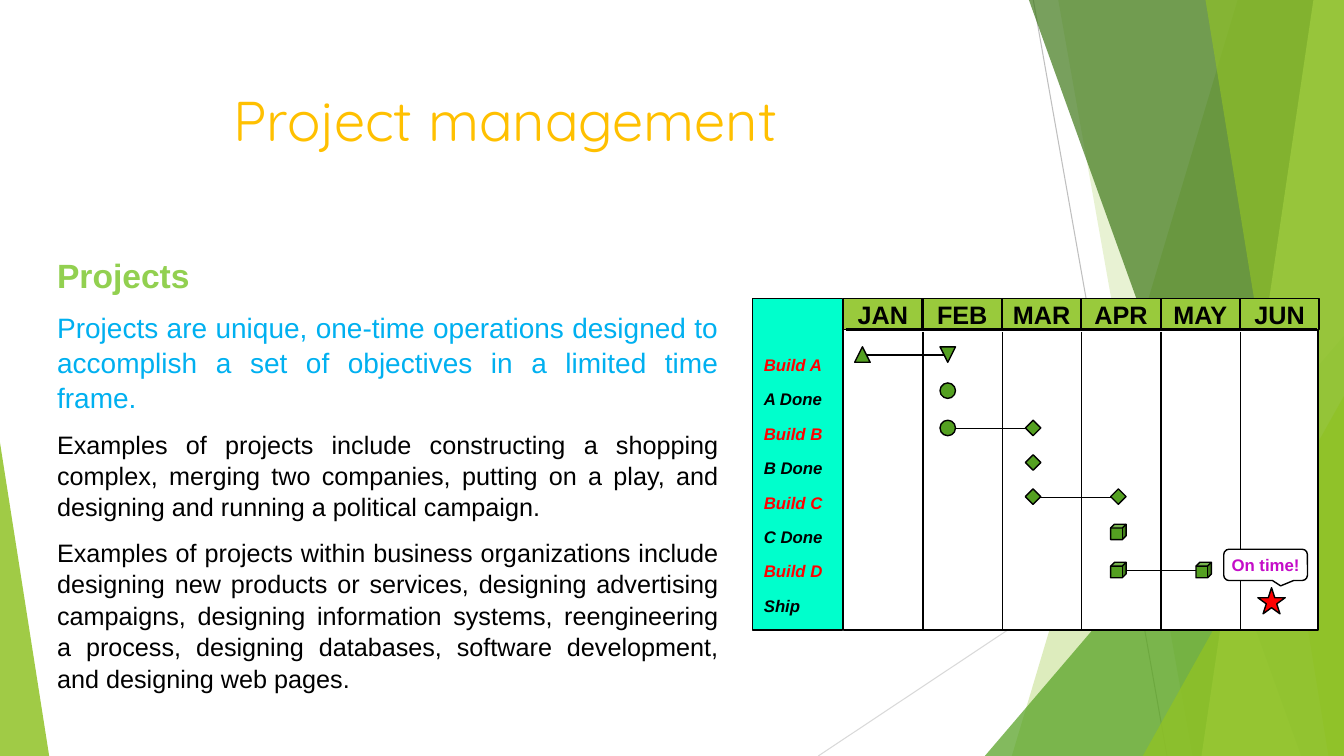
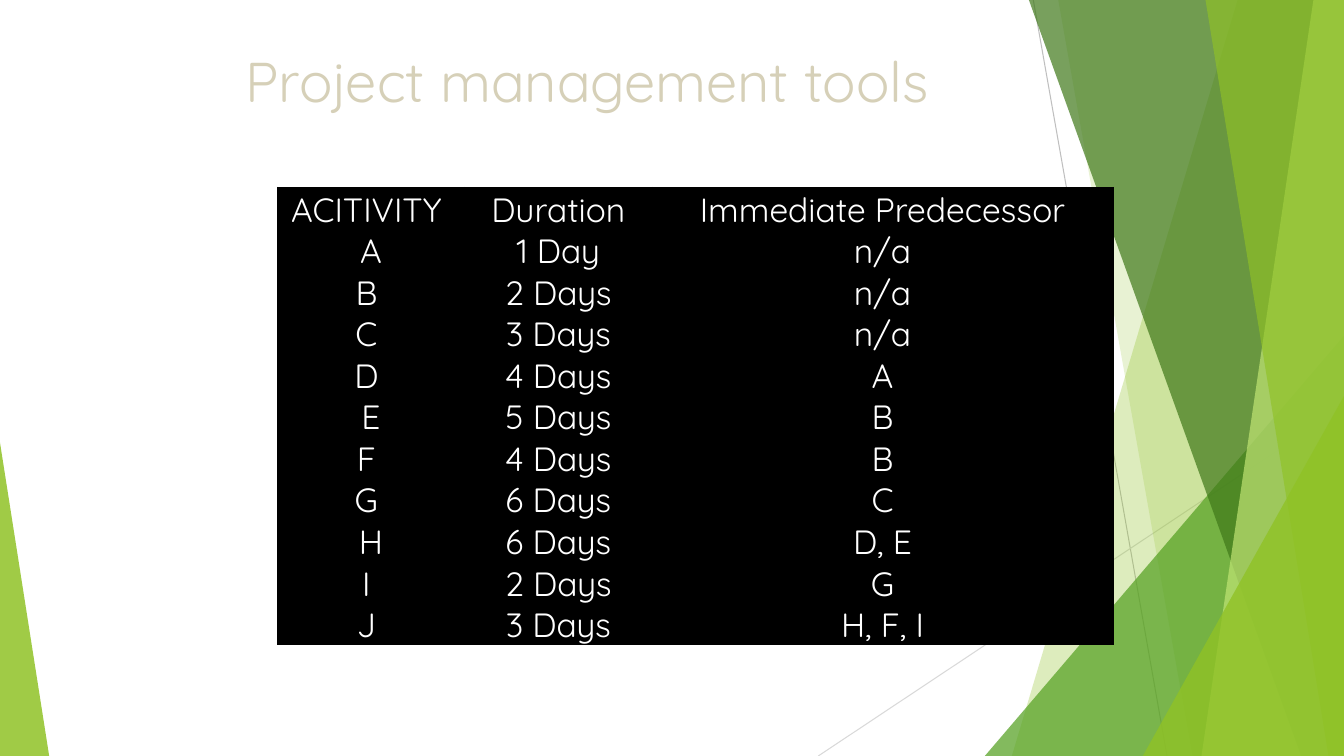
"""Build two project management slides: a milestone schedule and an activity table."""
from lxml.etree import SubElement
from pptx import Presentation
from pptx.dml.color import RGBColor
from pptx.enum.shapes import MSO_CONNECTOR, MSO_SHAPE
from pptx.enum.text import MSO_ANCHOR, PP_ALIGN
from pptx.oxml.ns import qn
from pptx.util import Cm, Pt

STRAIGHT = MSO_CONNECTOR.STRAIGHT
RECTANGLE = MSO_SHAPE.RECTANGLE
TRIANGLE = MSO_SHAPE.ISOSCELES_TRIANGLE
OVAL = MSO_SHAPE.OVAL
DIAMOND = MSO_SHAPE.DIAMOND
CUBE = MSO_SHAPE.CUBE
STAR = MSO_SHAPE.STAR_5_POINT
CALLOUT = MSO_SHAPE.ROUNDED_RECTANGULAR_CALLOUT
MIDDLE, BOTTOM = MSO_ANCHOR.MIDDLE, MSO_ANCHOR.BOTTOM
LEFT, CENTER, JUSTIFY = PP_ALIGN.LEFT, PP_ALIGN.CENTER, PP_ALIGN.JUSTIFY

BLACK = RGBColor(0x00, 0x00, 0x00)
WHITE = RGBColor(0xFF, 0xFF, 0xFF)
RED = RGBColor(0xFF, 0x00, 0x00)
LIME = RGBColor(0x90, 0xC2, 0x26)
GREEN = RGBColor(0x54, 0xA0, 0x21)
FOREST = RGBColor(0x3F, 0x78, 0x19)
PALE_LIME = RGBColor(0xC0, 0xE4, 0x74)
HEADER_GREEN = RGBColor(0x99, 0xCA, 0x3C)
HEADING_GREEN = RGBColor(0x92, 0xD0, 0x50)
SKY = RGBColor(0x00, 0xB0, 0xF0)
AQUA = RGBColor(0x00, 0xFF, 0xCC)
PURPLE = RGBColor(0xC4, 0x0C, 0xC8)
GOLD = RGBColor(0xFF, 0xC0, 0x00)
SAND = RGBColor(0xD6, 0xD0, 0xB8)
GREY = RGBColor(0xBF, 0xBF, 0xBF)
LIGHT_GREY = RGBColor(0xD9, 0xD9, 0xD9)

WIDTH, HEIGHT = 33.87, 19.05
TITLE_FORMAT = {"name": "Quicksand", "size": Pt(40)}
TABLE_FORMAT = {"name": "Quicksand", "size": Pt(24)}
MONTH_FORMAT = {"name": "Arial", "size": Pt(18), "bold": True}
TASK_FORMAT = {"name": "Arial", "size": Pt(12), "bold": True, "italic": True}
NOTE_FORMAT = {"name": "Arial", "size": Pt(12), "bold": True}

TITLES = [
    ("Project management", (5.64, 1.93, 23.8, 2.16), GOLD),
    ("Project management tools", (5.94, 0.25, 26.42, 3.53), SAND),
]
THIN_LINES = [
    (26.04, 0, 29.41, HEIGHT, GREY),
    (WIDTH, 10.24, 20.62, HEIGHT, LIGHT_GREY),
]
BANDS = [
    ("slant", (31.19, 25.5), LIME, 30),
    ("slant", (26.67, 30.05), LIME, 20),
    ("triangle", (24.82, 8.46, 9.05, 10.59, 1), GREEN, 72),
    ("slant", (25.93, 32.79), FOREST, 70),
    ("slant", (33.1, 30.28), PALE_LIME, 70),
    ("slant", (30.38, 33.48), LIME, 65),
    ("triangle", (28.8, 9.98, 5.07, 9.07, 1), LIME, 80),
    ("triangle", (0, 11.15, 1.24, 7.9, 0), LIME, 85),
]
BODY = [
    ("Projects", 24, True, HEADING_GREEN, LEFT),
    ("Projects are unique, one-time operations designed to accomplish a set of "
     "objectives in a limited time frame.", 20, False, SKY, JUSTIFY),
    ("Examples of projects include constructing a shopping complex, merging two "
     "companies, putting on a play, and designing and running a political campaign.",
     18, False, BLACK, JUSTIFY),
    ("Examples of projects within business organizations include designing new "
     "products or services, designing advertising campaigns, designing information "
     "systems, reengineering a process, designing databases, software development, "
     "and designing web pages.", 18, False, BLACK, JUSTIFY),
]
MONTHS = ["JAN", "FEB", "MAR", "APR", "MAY", "JUN"]
TASKS = ["Build A", "A Done", "Build B", "B Done", "Build C", "C Done", "Build D", "Ship"]
MILESTONES = [
    (8.74, 0, [TRIANGLE, TRIANGLE]),
    (9.65, 1, [OVAL]),
    (10.59, 1, [OVAL, DIAMOND]),
    (11.46, 2, [DIAMOND]),
    (12.32, 2, [DIAMOND, DIAMOND]),
    (13.21, 3, [CUBE]),
    (14.17, 3, [CUBE, CUBE]),
]
ACTIVITIES = [
    ("ACITIVITY ", "Duration", "Immediate Predecessor"),
    ("A", "1 Day", "n/a"),
    ("B ", "2 Days", "n/a"),
    ("C ", "3 Days", "n/a"),
    ("D ", "4 Days", "A"),
    ("E", "5 Days", "B"),
    ("F ", "4 Days", "B"),
    ("G ", "6 Days", "C"),
    ("H", "6 Days", "D, E"),
    ("I ", "2 Days", "G"),
    ("J ", "3 Days", "H, F, I"),
]


def finish(item, outline=BLACK, weight=1, fill=None):
    """Give a shape or connector its outline and fill, without a shadow."""
    if outline is None:
        item.line.fill.background()
    else:
        item.line.color.rgb = outline
        item.line.width = Pt(weight)
    SubElement(item._element.spPr, qn("a:effectLst"))
    if fill is not None:
        item.fill.solid()
        item.fill.fore_color.rgb = fill


def write(para, text, values, colour, align=LEFT):
    """Fill a paragraph with one formatted span."""
    para.alignment = align
    span = para.add_run()
    span.text = text
    for name, value in values.items():
        setattr(span.font, name, value)
    span.font.color.rgb = colour


deck = Presentation()
deck.slide_width, deck.slide_height = Cm(WIDTH), Cm(HEIGHT)
pages = []
for title, place, colour in TITLES:
    page = deck.slides.add_slide(deck.slide_layouts[6])
    pages.append(page)
    for *ends, line_colour in THIN_LINES:
        finish(page.shapes.add_connector(STRAIGHT, *map(Cm, ends)), line_colour, 0.75)
    for kind, geometry, fill, opacity in BANDS:
        if kind == "slant":
            top_x, bottom_x = geometry
            corners = [(WIDTH, 0), (WIDTH, HEIGHT), (bottom_x, HEIGHT)]
            builder = page.shapes.build_freeform(Cm(top_x), Cm(0))
            builder.add_line_segments([(Cm(x), Cm(y)) for x, y in corners])
            band = builder.convert_to_shape()
        else:
            *frame, apex = geometry
            band = page.shapes.add_shape(TRIANGLE, *map(Cm, frame))
            band.adjustments[0] = apex
        finish(band, None, fill=fill)
        tint = band._element.spPr.find(qn("a:solidFill"))[0]
        SubElement(tint, qn("a:alpha"), val=str(opacity * 1000))
    box = page.shapes.add_textbox(*map(Cm, place)).text_frame
    box.word_wrap = True
    box.vertical_anchor = MIDDLE
    write(box.paragraphs[0], title, TITLE_FORMAT, colour)

schedule_page, table_page = pages
shapes = schedule_page.shapes

box = shapes.add_textbox(Cm(1.19), Cm(6.25), Cm(17.17), Cm(10.19)).text_frame
box.word_wrap = True
for index, (text, size, bold, colour, align) in enumerate(BODY):
    para = box.add_paragraph() if index else box.paragraphs[0]
    para.space_after = Pt(10)
    para.line_spacing = 1.04
    write(para, text, {"name": "Arial", "size": Pt(size), "bold": bold}, colour, align)

TOP, GRID_LEFT, GRID_HEIGHT = 7.52, 21.26, 8.36
MONTH_STEP, MONTH_HEIGHT = 2, 0.79
MARK_LEFT, MARK_STEP, MARK_SIZE = 21.54, 2.15, 0.39

task_column = shapes.add_shape(RECTANGLE, Cm(18.97), Cm(TOP), Cm(2.26), Cm(GRID_HEIGHT))
finish(task_column, fill=AQUA)
box = task_column.text_frame
box.vertical_anchor = MSO_ANCHOR.TOP
box.margin_left = box.margin_right = Cm(0.28)
box.margin_top = box.margin_bottom = Cm(1.42)
for index, task in enumerate(TASKS):
    para = box.add_paragraph() if index else box.paragraphs[0]
    para.space_after = Pt(10.2)
    write(para, task, TASK_FORMAT, BLACK if index % 2 else RED)

grid = shapes.add_shape(RECTANGLE, Cm(GRID_LEFT), Cm(TOP), Cm(11.96), Cm(GRID_HEIGHT))
finish(grid, fill=WHITE)
for index, month in enumerate(MONTHS):
    left = GRID_LEFT + index * MONTH_STEP
    header = shapes.add_shape(RECTANGLE, Cm(left), Cm(TOP), Cm(1.98), Cm(MONTH_HEIGHT))
    finish(header, fill=HEADER_GREEN)
    header.text_frame.word_wrap = False
    header.text_frame.vertical_anchor = MIDDLE
    write(header.text_frame.paragraphs[0], month, MONTH_FORMAT, BLACK, CENTER)
    if index:
        divider = shapes.add_connector(STRAIGHT, Cm(left), Cm(8.36), Cm(left), Cm(15.85))
        finish(divider)
finish(shapes.add_connector(STRAIGHT, Cm(21.31), Cm(8.31), Cm(33.2), Cm(8.31)), weight=2)

for top, first, kinds in MILESTONES:
    left = MARK_LEFT + first * MARK_STEP
    if len(kinds) == 2:
        middle = Cm(top + 0.21)
        link = shapes.add_connector(
            STRAIGHT, Cm(left + 0.3), middle, Cm(left + MARK_STEP + 0.1), middle)
        finish(link)
    for column, kind in enumerate(kinds):
        mark = shapes.add_shape(
            kind, Cm(left + column * MARK_STEP), Cm(top), Cm(MARK_SIZE), Cm(MARK_SIZE))
        mark.rotation = 180 if kind == TRIANGLE and column else 0
        finish(mark, fill=GREEN)

star = shapes.add_shape(STAR, Cm(31.7), Cm(14.81), Cm(0.69), Cm(0.66))
finish(star, fill=RED)
callout = shapes.add_shape(CALLOUT, Cm(30.84), Cm(13.84), Cm(2.11), Cm(0.79))
for index, value in enumerate([0.18, 0.67, 0.17]):
    callout.adjustments[index] = value
finish(callout, fill=WHITE)
callout.text_frame.word_wrap = False
callout.text_frame.vertical_anchor = MIDDLE
write(callout.text_frame.paragraphs[0], "On time!", NOTE_FORMAT, PURPLE, CENTER)

table = table_page.shapes.add_table(
    len(ACTIVITIES), 3, Cm(6.99), Cm(4.72), Cm(21.06), Cm(11.48)).table
for column, width in zip(table.columns, [4.72, 4.72, 11.62]):
    column.width = Cm(width)
for row, texts in zip(table.rows, ACTIVITIES):
    row.height = Cm(1.04)
    for cell, text in zip(row.cells, texts):
        cell.margin_left = cell.margin_right = cell.margin_top = Cm(0.03)
        cell.margin_bottom = Cm(0)
        cell.vertical_anchor = BOTTOM
        for side in ("a:lnL", "a:lnR", "a:lnT", "a:lnB"):
            border = SubElement(cell._tc.get_or_add_tcPr(), qn(side), w=str(Pt(0.5)))
            SubElement(SubElement(border, qn("a:solidFill")), qn("a:srgbClr"), val=str(BLACK))
        cell.fill.solid()
        cell.fill.fore_color.rgb = BLACK
        write(cell.text_frame.paragraphs[0], text, TABLE_FORMAT, WHITE, CENTER)

deck.save("out.pptx")
